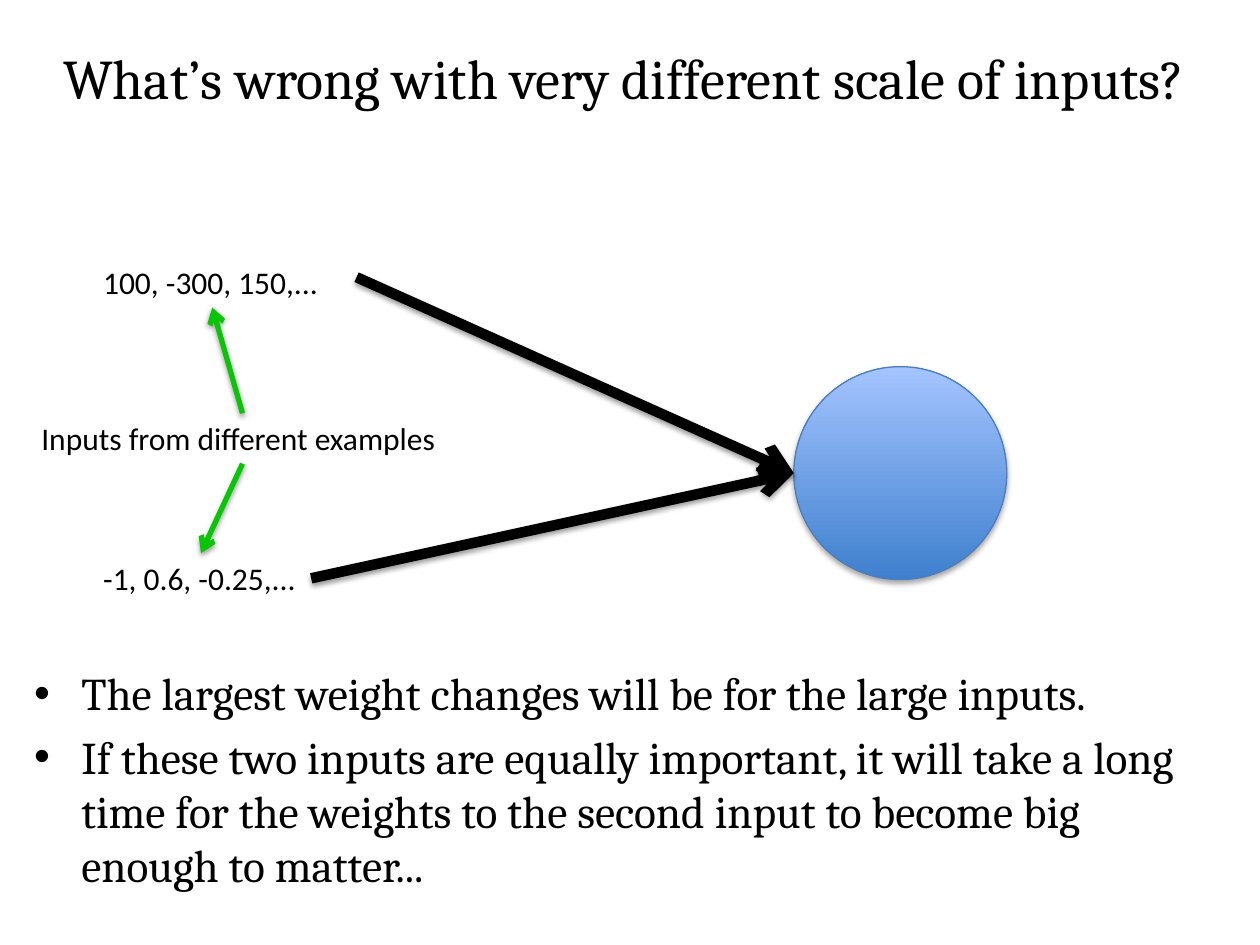
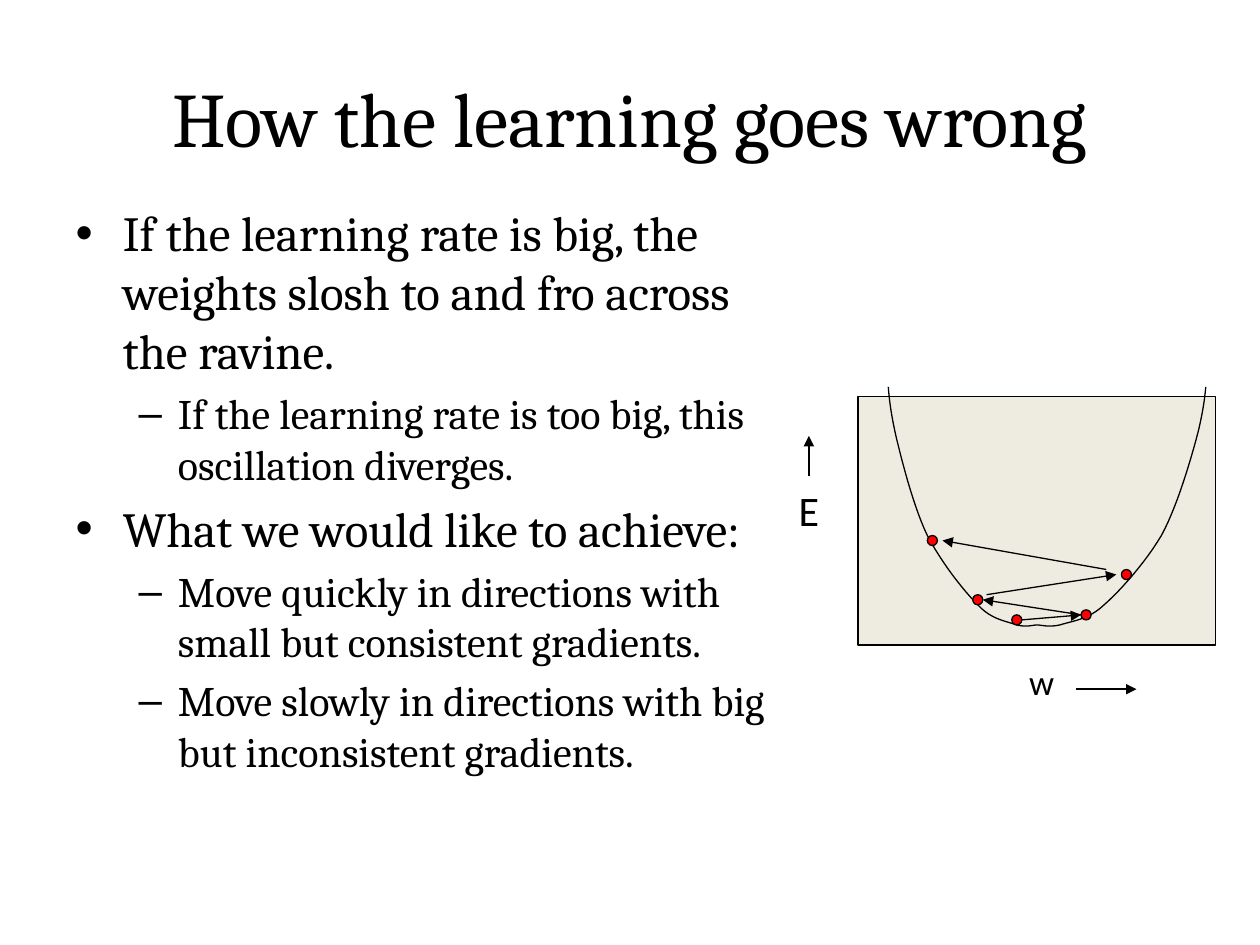
"""Builds two slides on input scale and learning rate."""
from lxml import etree
from pptx import Presentation
from pptx.dml.color import RGBColor
from pptx.enum.shapes import MSO_CONNECTOR, MSO_SHAPE
from pptx.enum.text import MSO_ANCHOR, MSO_AUTO_SIZE, PP_ALIGN
from pptx.oxml.ns import qn
from pptx.util import Inches, Pt

LINE, OVAL, RECT = MSO_CONNECTOR.STRAIGHT, MSO_SHAPE.OVAL, MSO_SHAPE.RECTANGLE
MIDDLE, CENTER = MSO_ANCHOR.MIDDLE, PP_ALIGN.CENTER
FIXED, GROW = MSO_AUTO_SIZE.NONE, MSO_AUTO_SIZE.SHAPE_TO_FIT_TEXT
TOP, LEFT, BOTTOM, RIGHT = range(4)
SERIF, SANS = "Cambria", "Calibri"
BLACK, GREEN, RED, CREAM = "000000", "08C505", "FF0000", "EEECE1"
DEEP, PALE, EDGE = "3F80CE", "A4C4FF", "4B7EBC"

SCALE = {
    "title": ("What’s wrong with very different scale of inputs?", 32, (0.07, 0.03, 9.77, 1.17)),
    "box": (0.17, 5.23, 9.67, 2.04),
    "sizes": (25.9,),
    "list": [
        (0, "The largest weight changes will be for the large inputs."),
        (0, "If these two inputs are equally important, it will take a long time for "
            "the weights to the second input to become big enough to matter..."),
    ],
}
RATE = {
    "title": ("How the learning goes wrong", 44, (0.5, 0.3, 9, 1.25)),
    "box": (0.5, 1.56, 5.72, 4.95),
    "sizes": (28, 24),
    "list": [
        (0, "If the learning rate is big, the weights slosh to and fro across the ravine."),
        (1, "If the learning rate is too big, this oscillation diverges."),
        (0, "What we would like to achieve:"),
        (1, "Move quickly in directions with small but consistent gradients."),
        (1, "Move slowly in directions with big but inconsistent gradients."),
    ],
}
NOTES = {
    "large": ("100, -300, 150,...", (0.72, 2.04, 1.93, 0.4)),
    "small": ("-1, 0.6, -0.25,...", (0.72, 4.39, 1.75, 0.4)),
    "both": ("Inputs from different examples", (0.23, 3.28, 3.39, 0.4)),
}
UNIT = (6.3, 2.91, 1.69, 1.69)
PLOT = (6.81, 3.15, 2.84, 1.97)
BASE, STRETCH = 8.23, 1.34 / 1.18
WALL = [
    (7.05, 3.07), (7.06, 3.2), (7.08, 3.34), (7.13, 3.54), (7.18, 3.74),
    (7.26, 4.04), (7.36, 4.25), (7.47, 4.46), (7.64, 4.68), (7.76, 4.8),
    (7.87, 4.92), (7.99, 4.93), (8.07, 4.96), (8.15, 4.98), (8.2, 4.96), (BASE, 4.96),
]
DOT = 0.08
DOTS = [(8.03, 4.88), (8.58, 4.84), (7.72, 4.72), (8.9, 4.52), (7.36, 4.25)]
STEPS = [
    ((8.11, 4.92), (8.58, 4.88)), ((8.58, 4.88), (7.8, 4.76)),
    ((7.83, 4.72), (8.86, 4.56)), ((8.78, 4.52), (7.48, 4.29)),
]
AXES = [
    ("E", 24, (6.24, 3.8, 0.37, 0.5), (6.42, 3.78), (6.42, 3.46)),
    ("w", 20, (8.07, 5.19, 0.55, 0.44), (8.54, 5.47), (9.02, 5.47)),
]


def tint(code):
    """Turn a hex string into a colour."""
    return RGBColor.from_string(code)


def inch(*nums):
    """Turn numbers into lengths."""
    return [Inches(num) for num in nums]


def style(para, size, face):
    """Set the font of a paragraph."""
    para.font.size, para.font.name = Pt(size), face
    para.font.color.rgb = tint(BLACK)


def place(shape, box):
    """Move a shape to a box."""
    shape.left, shape.top, shape.width, shape.height = inch(*box)


def ink(shape, code=BLACK, width=0.75):
    """Set the outline of a shape."""
    shape.line.color.rgb = tint(code)
    shape.line.width = Pt(width)


def shade(shape, alpha=0, drop=1.6):
    """Give a shape a soft shadow, or none."""
    glow = etree.SubElement(shape._element.spPr, qn("a:effectLst"))
    if alpha:
        cast = etree.SubElement(glow, qn("a:outerShdw"), blurRad=str(Pt(3.1)),
                                dist=str(Pt(drop)), dir="5400000", rotWithShape="0")
        hue = etree.SubElement(cast, qn("a:srgbClr"), val=BLACK)
        etree.SubElement(hue, qn("a:alpha"), val=str(alpha * 1000))


def page(deck, data):
    """Add a slide with its title and list."""
    slide = deck.slides.add_slide(deck.slide_layouts[1])
    head, body = slide.placeholders
    text, size, box = data["title"]
    place(head, box)
    head.text_frame.text = text
    head.text_frame.vertical_anchor = MIDDLE
    head.text_frame.auto_size = FIXED
    style(head.text_frame.paragraphs[0], size, SERIF)
    head.text_frame.paragraphs[0].alignment = CENTER
    place(body, data["box"])
    body.text_frame.text = "\n".join(text for _, text in data["list"])
    body.text_frame.auto_size = FIXED
    for para, (level, _) in zip(body.text_frame.paragraphs, data["list"]):
        para.level = level
        style(para, data["sizes"][level], SERIF)
    return slide


def label(slide, text, size, box):
    """Add a one-line text box."""
    note = slide.shapes.add_textbox(*inch(*box))
    note.text_frame.text = text
    note.text_frame.word_wrap = False
    note.text_frame.auto_size = GROW
    style(note.text_frame.paragraphs[0], size, SANS)
    return note


def arrow(slide, start, end, width, code=BLACK, kind="triangle", alpha=0):
    """Add an arrow between points or (shape, side) pairs."""
    free = [(0, 0) if hasattr(spot[0], "shape_id") else spot for spot in (start, end)]
    link = slide.shapes.add_connector(LINE, *inch(*free[0], *free[1]))
    if free[0] != start:
        link.begin_connect(*start)
    if free[1] != end:
        link.end_connect(*end)
    ink(link, code, width)
    etree.SubElement(link.line._get_or_add_ln(), qn("a:tailEnd"), type=kind)
    shade(link, alpha)


def solid(slide, kind, box, code):
    """Add a filled shape with a thin outline."""
    shape = slide.shapes.add_shape(kind, *inch(*box))
    shape.fill.solid()
    shape.fill.fore_color.rgb = tint(code)
    ink(shape)
    shade(shape)


def bend(knots, count=12):
    """Sample points along joined cubic curves."""
    spots = [knots[0]]
    for at in range(0, len(knots) - 1, 3):
        for step in range(1, count + 1):
            t = step / count
            parts = ((1 - t) ** 3, 3 * t * (1 - t) ** 2, 3 * t * t * (1 - t), t ** 3)
            four = knots[at:at + 4]
            spots.append(tuple(sum(part * knot[axis] for part, knot in zip(parts, four))
                               for axis in (0, 1)))
    return spots


def curve(slide, knots):
    """Draw an open curve."""
    spots = [inch(*spot) for spot in bend(knots)]
    pen = slide.shapes.build_freeform(*spots[0])
    pen.add_line_segments(spots[1:], close=False)
    shape = pen.convert_to_shape()
    shape.fill.background()
    ink(shape)
    shade(shape)


def scale(deck):
    """Build the slide on input scale."""
    slide = page(deck, SCALE)
    unit = slide.shapes.add_shape(OVAL, *inch(*UNIT))
    unit.fill.gradient()
    unit.fill.gradient_angle = 90
    for stop, code, spot in zip(unit.fill.gradient_stops, (DEEP, PALE), (0, 1)):
        stop.color.rgb, stop.position = tint(code), spot
    ink(unit, EDGE)
    shade(unit, 35, 1.8)
    notes = {key: label(slide, text, 18, box) for key, (text, box) in NOTES.items()}
    goal = (UNIT[0], UNIT[1] + UNIT[3] / 2)
    for start in ((2.83, 2.2), (notes["small"], RIGHT)):
        arrow(slide, start, goal, 6, kind="arrow", alpha=38)
    for side, key, end in ((TOP, "large", BOTTOM), (BOTTOM, "small", TOP)):
        arrow(slide, (notes["both"], side), (notes[key], end), 3, GREEN, "arrow", 38)


def rate(deck):
    """Build the slide on learning rate."""
    slide = page(deck, RATE)
    solid(slide, RECT, PLOT, CREAM)
    curve(slide, WALL)
    curve(slide, [(BASE + (BASE - x) * STRETCH, y) for x, y in WALL])
    for text, size, box, start, end in AXES:
        label(slide, text, size, box)
        arrow(slide, start, end, 1.5)
    for spot in DOTS:
        solid(slide, OVAL, (*spot, DOT, DOT), RED)
    for start, end in STEPS:
        arrow(slide, start, end, 0.75)


def main():
    """Build and save the deck."""
    deck = Presentation()
    deck.slide_width, deck.slide_height = inch(10, 7.5)
    scale(deck)
    rate(deck)
    deck.save("out.pptx")


if __name__ == "__main__":
    main()
